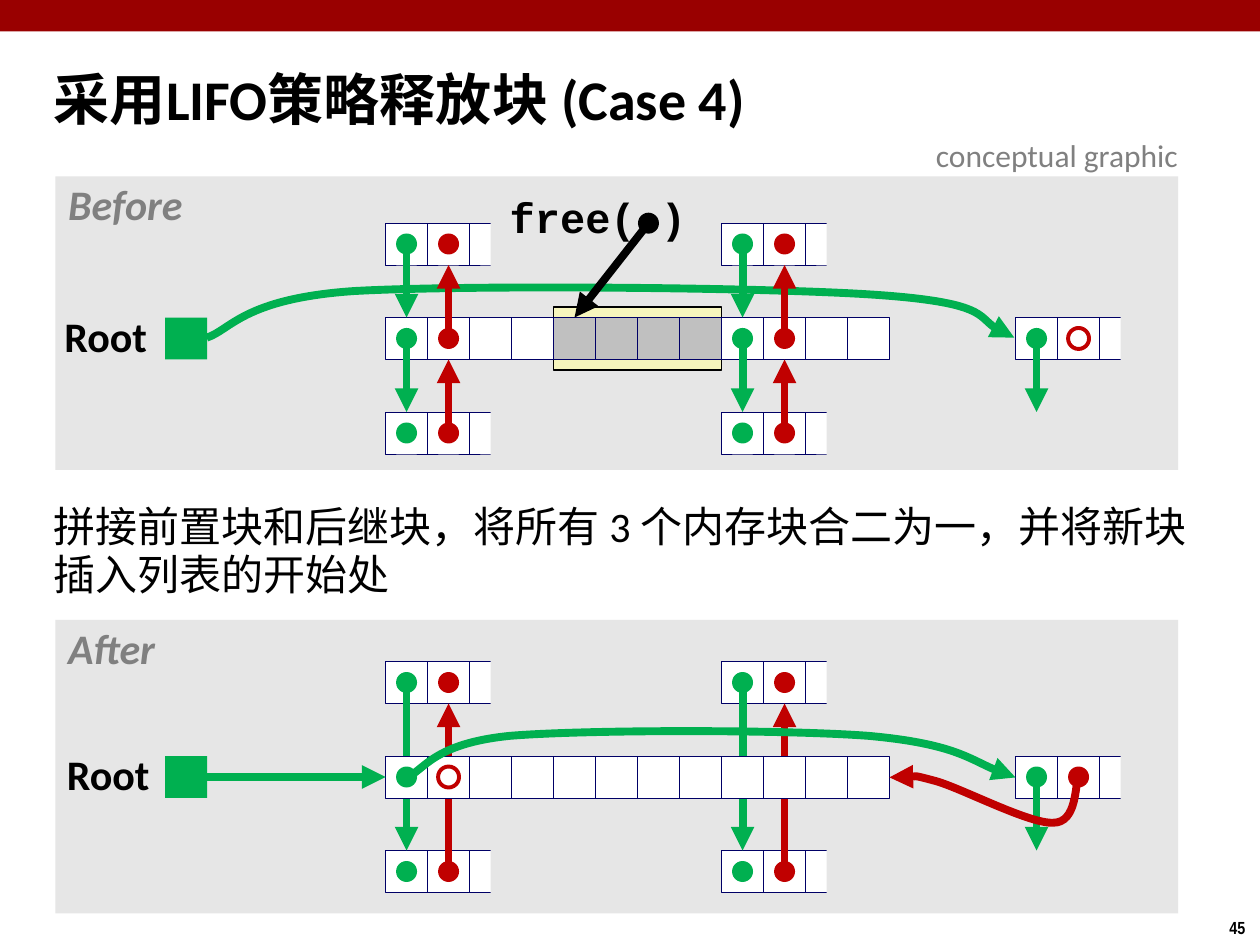
"""Build the slide on freeing a block with a LIFO policy, case 4."""
import pptx
import pptx.util
import pptx.dml.color
import pptx.enum.shapes
import pptx.enum.text
import pptx.oxml
import pptx.oxml.ns

GREEN, RED, BLACK, WHITE = "00B050", "C00000", "000000", "FFFFFF"
PANEL, USED, GRAY, NAVY = "E6E6E6", "C0C0C0", "808080", "000066"
CELL, ROW_STEP, LEFT, DOT = 1 / 3, 0.75, 3.06, 1 / 6
TOP, SIDE_LEFT, BOTTOM = 0, 1, 2
BLOCKS = (0, 8)
ROOT_COL, LIST_COL = -5.25, 15
FREE_DOT = (5.76, -1.22)

OUTER = [("part", c, r) for c in BLOCKS for r in (-1, 1)]
OUTER_DOTS = [("dot", color, c + i, r) for c in BLOCKS for r in (-1, 1)
              for i, color in enumerate((GREEN, RED))]
LIST_BLOCK = [("part", LIST_COL, 0), ("dot", GREEN, LIST_COL, 0),
              ("arrow", GREEN, LIST_COL, 0, LIST_COL, 1, TOP)]
ROOT = [("root", ROOT_COL, 0)]

BEFORE = (
    [("curve", GREEN, [(1.64, 2.68), (1.83, 2.62), (1.93, 2.37), (2.81, 2.31),
                       (3.7, 2.26), (6.07, 2.28), (6.95, 2.34),
                       (7.82, 2.4), (7.82, 2.61), (8.05, 2.68)])]
    + [("cells", 0, 4, 0, WHITE), ("cells", 4, 4, 0, USED), ("cells", 8, 4, 0, WHITE)]
    + OUTER
    + [("arrow", GREEN, c, r, c, r + 1, TOP) for c in BLOCKS for r in (-1, 0)]
    + [("arrow", RED, c + 1, r, c + 1, r - 1, BOTTOM) for c in BLOCKS for r in (1, 0)]
    + OUTER_DOTS
    + [("dot", color, c + i, 0) for c in BLOCKS for i, color in enumerate((GREEN, RED))]
    + ROOT + LIST_BLOCK
    + [("ring", RED, LIST_COL + 1, 0), ("dot", BLACK, *FREE_DOT),
       ("arrow", BLACK, *FREE_DOT, 4, 0, TOP)]
)
AFTER = (
    OUTER
    + [("arrow", RED, c + 1, 1, c + 1, -1, BOTTOM) for c in BLOCKS]
    + [("arrow", GREEN, c, -1, c, 1, TOP) for c in BLOCKS]
    + [("cells", 0, 12, 0, WHITE)]
    + OUTER_DOTS + ROOT + LIST_BLOCK
    + [("dot", GREEN, 0, 0), ("ring", RED, 1, 0), ("dot", RED, LIST_COL + 1, 0),
       ("arrow", GREEN, -5, 0, 0, 0, SIDE_LEFT),
       ("curve", GREEN, [(3.23, 6.17), (3.37, 6.11), (3.44, 5.9), (4.05, 5.84),
                         (4.66, 5.79), (6.22, 5.79), (6.89, 5.84),
                         (7.56, 5.9), (7.82, 6.1), (8.06, 6.17)]),
       ("curve", RED, [(8.56, 6.17), (8.53, 6.23), (8.55, 6.53), (8.36, 6.53),
                       (8.17, 6.54), (7.64, 6.26), (7.43, 6.2),
                       (7.21, 6.14), (7.14, 6.17), (7.06, 6.17)])]
)
PANELS = [(1.4, 2.52, BEFORE), (4.92, 6.0, AFTER)]

LABEL = dict(size=24, bold=True, inset=0.05, center=True, spacing=0.9)
TEXTS = [
    ("采用LIFO策略释放块 (Case 4)", (0.33, 0.39, 9.53, 0.86),
     dict(size=32, bold=True, wrap=True, middle=True, spacing=0.87, hang=0.13)),
    ("拼接前置块和后继块，将所有 3 个内存块合二为一，并将新块插入列表的开始处",
     (0.33, 3.95, 9.27, 0.84), dict(size=24, wrap=True, spacing=0.95)),
    ("conceptual graphic", (7.33, 1.03, 2.17, 0.4), dict(size=18, color=GRAY)),
    ("free( )", (3.99, 1.52, 1.51, 0.47), dict(LABEL, font="Courier New")),
    ("Root", (0.46, 2.46, 0.76, 0.47), LABEL),
    ("Root", (0.48, 5.94, 0.76, 0.47), LABEL),
    ("Before", (0.48, 1.41, 1.03, 0.47), dict(LABEL, color=GRAY, italic=True)),
    ("After", (0.48, 4.94, 0.81, 0.47), dict(LABEL, color=GRAY, italic=True)),
    ("45", (9.66, 7.23, 0.34, 0.27), dict(size=10, bold=True, font="Arial Narrow")),
]

SHAPE = pptx.enum.shapes.MSO_SHAPE
inch = pptx.util.Inches
prs = pptx.Presentation()
prs.slide_width, prs.slide_height = inch(10), inch(7.5)
s = prs.slides.add_slide(prs.slide_layouts[6])


def rgb(color):
    return pptx.dml.color.RGBColor.from_string(color)


def add_shape(x, y, w, h, fill=None, line=None, width=0.25, kind=SHAPE.RECTANGLE):
    sp = s.shapes.add_shape(kind, inch(x), inch(y), inch(w), inch(h))
    sp.shadow.inherit = False
    if fill:
        sp.fill.solid()
        sp.fill.fore_color.rgb = rgb(fill)
    else:
        sp.fill.background()
    if line:
        sp.line.color.rgb = rgb(line)
        sp.line.width = pptx.util.Pt(width)
    else:
        sp.line.fill.background()
    return sp


def style_arrow(sp, color):
    sp.line.color.rgb = rgb(color)
    sp.line.width = pptx.util.Pt(4.5)
    tail = pptx.oxml.parse_xml(
        f'<a:tailEnd {pptx.oxml.ns.nsdecls("a")} type="triangle"/>')
    sp.line._get_or_add_ln().append(tail)


def add_curve(color, points):
    pts = [(inch(x), inch(y)) for x, y in points]
    builder = s.shapes.build_freeform(*pts[0])
    builder.add_line_segments(pts[1:], close=False)
    sp = builder.convert_to_shape()
    sp.shadow.inherit = False
    sp.fill.background()
    style_arrow(sp, color)
    segments = sp._element.findall(".//" + pptx.oxml.ns.qn("a:lnTo"))
    for i in range(0, len(segments), 3):
        bezier = pptx.oxml.parse_xml(f'<a:cubicBezTo {pptx.oxml.ns.nsdecls("a")}/>')
        segments[i].addprevious(bezier)
        for seg in segments[i:i + 3]:
            bezier.append(seg[0])
            seg.getparent().remove(seg)


def draw_panel(top, row_top, items):
    add_shape(0.44, top, 8.91, 2.33, PANEL)
    if items is BEFORE:
        add_shape(LEFT + 4 * CELL, row_top - CELL / 4, 4 * CELL, 1.5 * CELL,
                  "F6F5BD", BLACK, 0.75)
    grid = {}

    def corner(col, row):
        return LEFT + col * CELL, row_top + row * ROW_STEP

    def cells(col, count, row, fill):
        for c in range(col, col + count):
            grid[c, row] = add_shape(*corner(c, row), CELL, CELL, fill, NAVY)

    def part(col, row):
        cells(col, 3, row, WHITE)
        x, y = corner(col + 2.5, row)
        add_shape(x, y - CELL / 4, CELL, 1.5 * CELL, PANEL)

    def dot(color, col, row, line=None):
        x, y = corner(col, row)
        gap = (CELL - DOT) / 2
        add_shape(x + gap, y + gap, DOT, DOT, color, line, 2.25, SHAPE.OVAL)

    def ring(color, col, row):
        dot(None, col, row, color)

    def root(col, row):
        add_shape(*corner(col, row), CELL, CELL, GREEN)

    def arrow(color, col, row, to_col, to_row, side):
        x, y = corner(col, row)
        to_x, to_y = corner(to_col, to_row)
        dx, dy = {TOP: (0.5, 0), SIDE_LEFT: (0, 0.5), BOTTOM: (0.5, 1)}[side]
        cn = s.shapes.add_connector(
            pptx.enum.shapes.MSO_CONNECTOR.STRAIGHT, inch(x + CELL / 2),
            inch(y + CELL / 2), inch(to_x + dx * CELL), inch(to_y + dy * CELL))
        if (to_col, to_row) in grid:
            cn.end_connect(grid[to_col, to_row], side)
        style_arrow(cn, color)
        cn._element.spPr.append(
            pptx.oxml.parse_xml(f'<a:effectLst {pptx.oxml.ns.nsdecls("a")}/>'))

    draw = dict(cells=cells, part=part, dot=dot, ring=ring, root=root,
                arrow=arrow, curve=add_curve)
    for kind, *args in items:
        draw[kind](*args)


def add_text(text, box, size, color=BLACK, font="Calibri", bold=False, italic=False,
             wrap=False, middle=False, center=False, inset=None, spacing=None, hang=0):
    tf = s.shapes.add_textbox(*map(inch, box)).text_frame
    tf.word_wrap = wrap
    if not wrap:
        tf.auto_size = pptx.enum.text.MSO_AUTO_SIZE.SHAPE_TO_FIT_TEXT
    if middle:
        tf.vertical_anchor = pptx.enum.text.MSO_ANCHOR.MIDDLE
    if inset:
        tf.margin_left = tf.margin_right = tf.margin_top = tf.margin_bottom = inch(inset)
    p = tf.paragraphs[0]
    if center:
        p.alignment = pptx.enum.text.PP_ALIGN.CENTER
    if spacing:
        p.line_spacing = spacing
    if hang:
        pPr = p._p.get_or_add_pPr()
        pPr.set("marL", str(inch(hang)))
        pPr.set("indent", str(-inch(hang)))
    r = p.add_run()
    r.text = text
    r.font.size, r.font.name = pptx.util.Pt(size), font
    r.font.bold, r.font.italic = bold, italic
    r.font.color.rgb = rgb(color)


add_shape(0, 0, 10, 0.25, "990000")
for panel in PANELS:
    draw_panel(*panel)
for text, box, style in TEXTS:
    add_text(text, box, **style)
prs.save("out.pptx")
